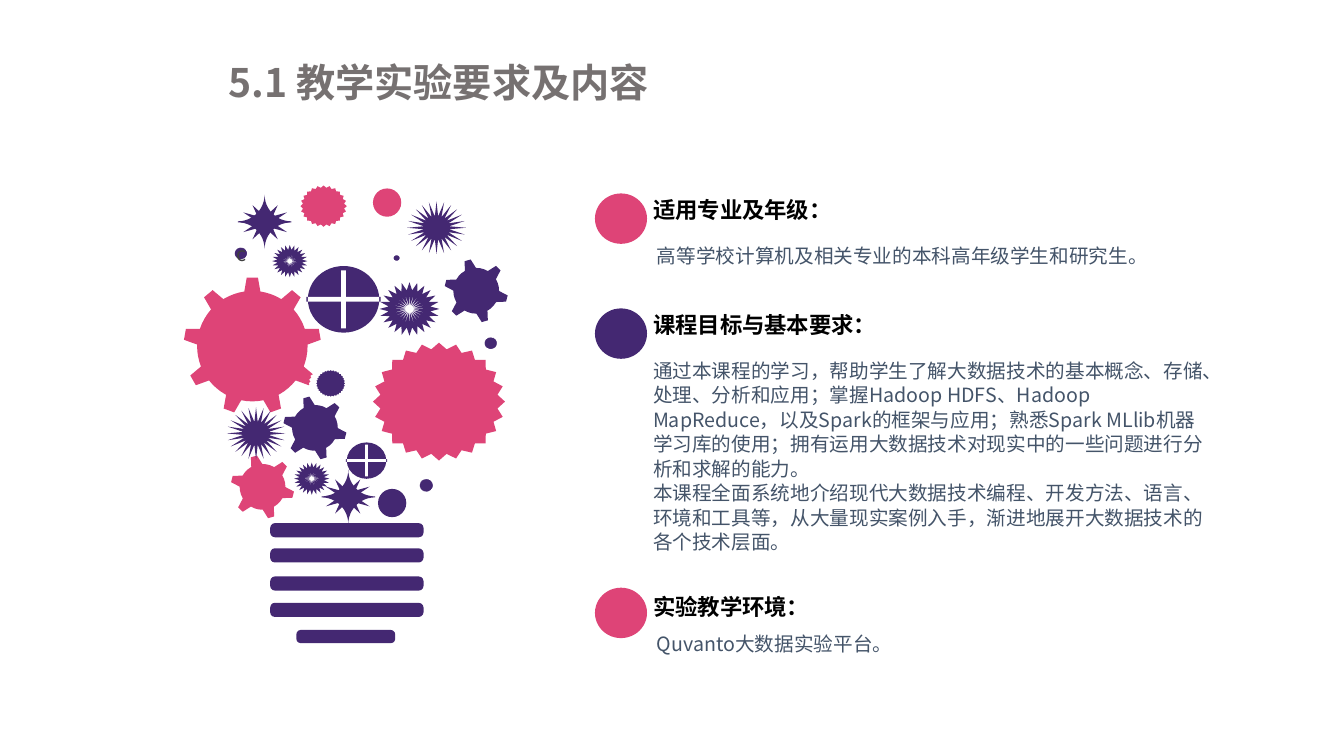
import math
from dataclasses import dataclass
from typing import Optional

import lxml.etree
import pptx
import pptx.dml.color
import pptx.enum.shapes
import pptx.enum.text
import pptx.oxml.ns
import pptx.util

Pt = pptx.util.Pt
Kind = pptx.enum.shapes.MSO_SHAPE
Text = pptx.enum.text
Spot = tuple[float, float]

HUES = {"pink": "DE4477", "plum": "442872", "white": "FFFFFF", "title": "767171",
        "head": "000000", "body": "445469", "dark": "404040"}
SANS = "Noto Sans CJK SC"
FORMS = {
    "title": {"size": Pt(28), "name": SANS, "bold": True},
    "head": {"size": Pt(16), "name": "Arial", "bold": True},
    "body": {"size": Pt(14), "name": SANS, "bold": False},
    "dark": {"size": Pt(14), "name": SANS, "bold": False},
}


@dataclass
class Part:
    """A preset shape; edge is the width of its white outline."""
    kind: Kind
    x: float
    y: float
    w: float
    h: float
    hue: str = "plum"
    bend: Optional[float] = None
    edge: float = 0
    text: str = ""


@dataclass
class Note:
    x: float
    y: float
    w: float
    h: float
    form: str
    lines: list[str]


@dataclass
class Round:
    """Centre and radii of a drawn outline."""
    x: float
    y: float
    rx: float
    ry: float
    hue: str = "plum"


COGS = [Round(225, 305.64, 22.7, 22.7), Round(340.2, 207.72, 22.7, 22.7),
        Round(187.56, 347.76, 22.7, 22.7, "pink")]
BURSTS = [Round(292.5, 220.7, 21.4, 19.1), Round(222.7, 341.9, 12.6, 11.5),
          Round(207, 186.5, 12.6, 11.5)]
WHEELS = [Round(245.4, 213.8, 25.5, 23.8), Round(261.8, 329, 14.1, 13)]

BARS = [Part(Kind.ROUNDED_RECTANGLE, 193, y, 109.5, 10.1, bend=0.333)
        for y in (373.7, 391.7, 411.8, 430.6)]
BULB = BARS + [
    Part(Kind.ROUNDED_RECTANGLE, 211.7, 450, 70.6, 9.4, bend=0.333),
    Part(Kind.STAR_24_POINT, 266.4, 244.8, 94.3, 84.2, "pink", 0.447),
    Part(Kind.GEAR_9, 131, 198, 98.6, 98.6, "pink"),
    Part(Kind.OVAL, 270, 349.2, 20.2, 20.2),
    Part(Kind.STAR_32_POINT, 218.9, 139, 33.8, 37.4, bend=0, edge=2.25),
    Part(Kind.STAR_32_POINT, 164.9, 174.2, 14.4, 13.7, bend=0.375, edge=2.25, text="c"),
    Part(Kind.STAR_32_POINT, 295.2, 337.7, 18.7, 18, bend=0.302, edge=2.25),
    Part(Kind.STAR_24_POINT, 162, 290.9, 41.8, 37.4, bend=0.219),
    Part(Kind.PLAQUE, 229.7, 335.5, 38.2, 38.9, bend=0.5),
    Part(Kind.STAR_12_POINT, 230.4, 340.6, 36, 28.1, bend=0.213),
    Part(Kind.PLAQUE, 169.9, 139, 38.2, 38.9, bend=0.5),
    Part(Kind.STAR_12_POINT, 171.4, 144.7, 36, 28.1, bend=0.213),
    Part(Kind.STAR_24_POINT, 290.9, 144, 41.8, 37.4, bend=0.219),
    Part(Kind.OVAL, 266.4, 134.6, 20.2, 20.2, "pink"),
    Part(Kind.STAR_32_POINT, 343.4, 238.3, 14.4, 13.7, bend=0.375, edge=2.25),
    Part(Kind.STAR_32_POINT, 277.9, 179.3, 10.8, 10.1, bend=0.302, edge=2.25),
    Part(Kind.STAR_24_POINT, 214.6, 132.5, 33.1, 29.5, "pink", 0.447),
    Part(Kind.STAR_32_POINT, 221.8, 260.6, 28.8, 26.6, bend=0.375, edge=2.25),
]
DOTS = [Part(Kind.OVAL, 425, y, 37.2, 36, hue)
        for y, hue in ((138.2, "pink"), (220.3, "plum"), (419.8, "pink"))]

NOTES = [
    Note(156.2, 38.2, 320.4, 41, "title", ["5.1 教学实验要求及内容"]),
    Note(459.4, 136.8, 241.2, 26.6, "head", ["适用专业及年级："]),
    Note(462.2, 169.9, 407.5, 24.5, "body",
         ["高等学校计算机及相关专业的本科高年级学生和研究生。"]),
    Note(459.4, 218.9, 241.2, 26.6, "head", ["课程目标与基本要求："]),
    Note(459.4, 419.8, 241.2, 26.6, "head", ["实验教学环境："]),
    Note(459.4, 252, 407.5, 151.2, "body", [
        "通过本课程的学习，帮助学生了解大数据技术的基本概念、存储、处理、分析和应用；"
        "掌握Hadoop HDFS、Hadoop MapReduce，以及Spark的框架与应用；"
        "熟悉Spark MLlib机器学习库的使用；"
        "拥有运用大数据技术对现实中的一些问题进行分析和求解的能力。",
        "本课程全面系统地介绍现代大数据技术编程、开发方法、语言、环境和工具等，"
        "从大量现实案例入手，渐进地展开大数据技术的各个技术层面。"]),
    Note(462.2, 447.1, 407.5, 24.5, "body", ["Quvanto大数据实验平台。"]),
]


def tint(hue: str) -> pptx.dml.color.RGBColor:
    return pptx.dml.color.RGBColor.from_string(HUES[hue])


def paint(shape, hue: str, edge: float = 0) -> None:
    shape.shadow.inherit = False
    shape.fill.solid()
    shape.fill.fore_color.rgb = tint(hue)
    if edge:
        shape.line.color.rgb = tint("white")
        shape.line.width = Pt(edge)
    else:
        shape.line.fill.background()


def write(para, text: str, form: str) -> None:
    run = para.add_run()
    run.text = text
    run.font.color.rgb = tint(form)
    for key, value in FORMS[form].items():
        setattr(run.font, key, value)
    if run.font.name == SANS:
        east = lxml.etree.SubElement(run._r.get_or_add_rPr(), pptx.oxml.ns.qn("a:ea"))
        east.set("typeface", SANS)


def place(slide, part: Part) -> None:
    shape = slide.shapes.add_shape(part.kind, Pt(part.x), Pt(part.y), Pt(part.w), Pt(part.h))
    if part.bend is not None:
        shape.adjustments[0] = part.bend
    paint(shape, part.hue, part.edge)
    if part.text:
        para = shape.text_frame.paragraphs[0]
        para.alignment = Text.PP_ALIGN.CENTER
        write(para, part.text, "dark")


def jot(slide, note: Note) -> None:
    frame = slide.shapes.add_textbox(Pt(note.x), Pt(note.y), Pt(note.w), Pt(note.h)).text_frame
    frame.word_wrap = True
    frame.auto_size = Text.MSO_AUTO_SIZE.SHAPE_TO_FIT_TEXT
    for rank, line in enumerate(note.lines):
        para = frame.add_paragraph() if rank else frame.paragraphs[0]
        if note.form == "body":
            para.line_spacing = Pt(17.5)
        write(para, line, note.form)


def spin(ring: Round, reach: float, angle: float) -> Spot:
    """Point at a share of the radii, with the angle in degrees."""
    turn = math.radians(angle)
    return (Pt(ring.x + ring.rx * reach * math.cos(turn)),
            Pt(ring.y + ring.ry * reach * math.sin(turn)))


def trace(slide, loops: list[list[Spot]], hue: str) -> None:
    """Fill closed loops as one shape; inner loops become holes."""
    pen = slide.shapes.build_freeform(*loops[0][0], scale=1.0)
    pen.add_line_segments(loops[0][1:], close=True)
    for loop in loops[1:]:
        pen.move_to(*loop[0])
        pen.add_line_segments(loop[1:], close=True)
    paint(pen.convert_to_shape(), hue)


def cog(slide, ring: Round) -> None:
    tooth = ((0.72, -59.5), (1, -51.5), (1, -40), (0.72, -30.5), (0.72, -20), (0.72, -10))
    loop = [spin(ring, reach, 60 * step + angle) for step in range(6) for reach, angle in tooth]
    trace(slide, [loop], ring.hue)


def burst(slide, ring: Round) -> None:
    """Spiky disc with a spiky hole."""
    loops = [[spin(ring, pair[step % 2], 7.5 * step - 90) for step in range(48)]
             for pair in ((1, 0.7), (0.64, 0.14))]
    trace(slide, loops, ring.hue)


def wheel(slide, ring: Round) -> None:
    """Disc with a white cross and a small tab on each side."""
    x, y, rx, ry = ring.x, ring.y, ring.rx, ring.ry
    half = 0.07 * rx
    place(slide, Part(Kind.OVAL, x - rx, y - ry, 2 * rx, 2 * ry, ring.hue))
    for wide, high, hue in ((1.04 * rx, half, ring.hue), (rx, half, "white"),
                            (half, 0.87 * ry, "white")):
        place(slide, Part(Kind.RECTANGLE, x - wide, y - high, 2 * wide, 2 * high, hue))


def main() -> None:
    deck = pptx.Presentation()
    deck.slide_width, deck.slide_height = Pt(960), Pt(540)
    slide = deck.slides.add_slide(deck.slide_layouts[6])
    for draw, items in ((jot, NOTES), (cog, COGS), (burst, BURSTS), (wheel, WHEELS),
                        (place, BULB + DOTS)):
        for item in items:
            draw(slide, item)
    deck.save("out.pptx")


if __name__ == "__main__":
    main()
